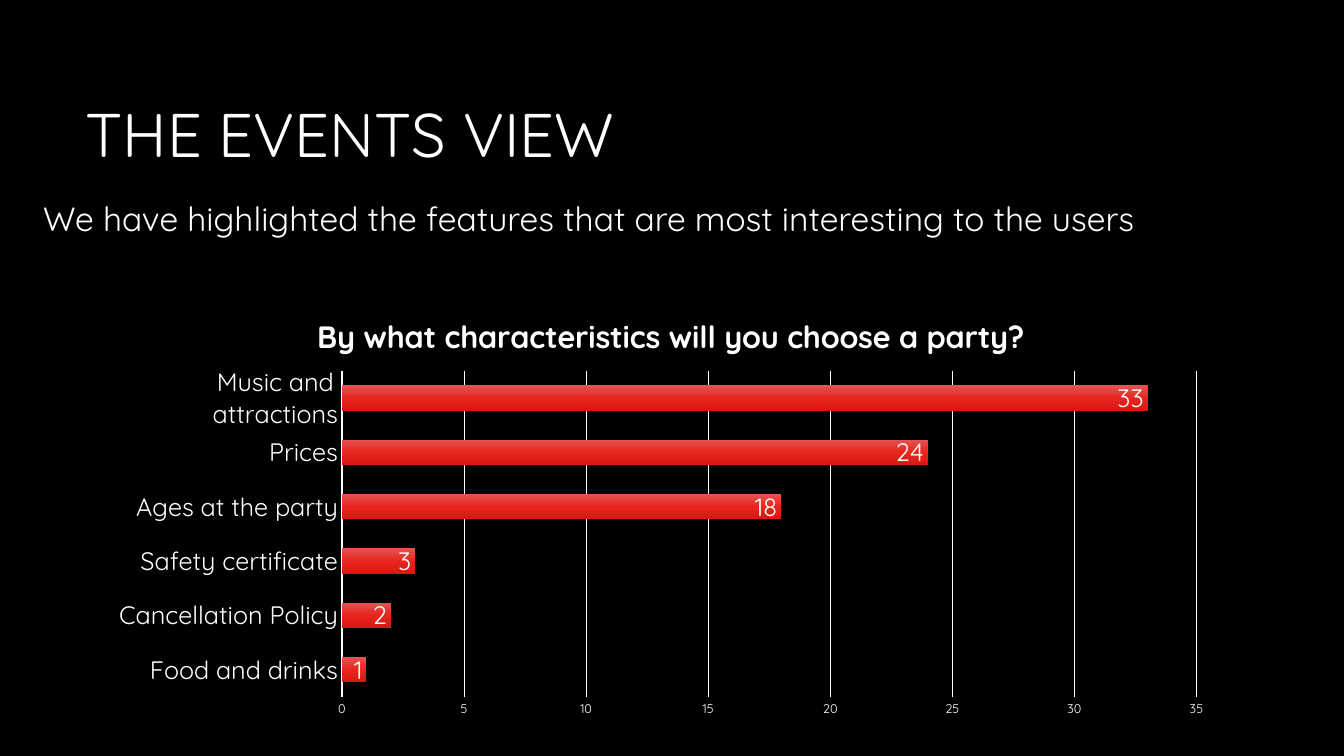
from lxml import etree
from pptx import Presentation
from pptx.chart.data import CategoryChartData
from pptx.dml.color import RGBColor
from pptx.enum.chart import XL_CHART_TYPE, XL_LABEL_POSITION, XL_TICK_MARK
from pptx.enum.text import MSO_ANCHOR
from pptx.oxml import parse_xml
from pptx.oxml.ns import nsdecls, qn
from pptx.util import Inches, Pt

BAR = XL_CHART_TYPE.BAR_CLUSTERED
INSIDE_END = XL_LABEL_POSITION.INSIDE_END
NO_TICK = XL_TICK_MARK.NONE
TOP, BOTTOM = MSO_ANCHOR.TOP, MSO_ANCHOR.BOTTOM

BLACK = RGBColor(0x00, 0x00, 0x00)
WHITE = RGBColor(0xFF, 0xFF, 0xFF)
LIGHT_RED = RGBColor(0xE4, 0x55, 0x53)
RED = RGBColor(0xE8, 0x25, 0x1F)
DARK_RED = RGBColor(0xD8, 0x18, 0x11)
BAR_STOPS = [(0, LIGHT_RED), (50, RED), (100, DARK_RED)]

ANSWERS = {
    "Food and drinks": 1,
    "Cancellation Policy": 2,
    "Safety certificate": 3,
    "Ages at the party": 18,
    "Prices": 24,
    "Music and attractions": 33,
}


class SlideBuilder:
    font_name = "Quicksand"
    color = WHITE

    def __init__(self, prs):
        self.s = prs.slides.add_slide(prs.slide_layouts[6])
        fill = self.s.background.fill
        fill.solid()
        fill.fore_color.rgb = BLACK

    def style(self, font, size, bold=False):
        font.name = self.font_name
        font.size = Pt(size)
        font.bold = bold
        font.color.rgb = self.color

    def line(self, line, width):
        line.color.rgb = self.color
        line.width = Pt(width)

    def text(self, text, box, size, anchor=TOP, spacing=1.0):
        sp = self.s.shapes.add_textbox(*map(Inches, box))
        tf = sp.text_frame
        tf.word_wrap = True
        tf.vertical_anchor = anchor
        p = tf.paragraphs[0]
        p.text = text
        p.line_spacing = spacing
        self.style(p.font, size)

    def gradient(self, fill, stops):
        fill.gradient()
        fill.gradient_angle = 270
        gs_list = fill._xPr.find(qn("a:gradFill")).find(qn("a:gsLst"))
        for gs in list(gs_list):
            gs_list.remove(gs)
        for percent, color in stops:
            gs = etree.SubElement(gs_list, qn("a:gs"), pos=str(percent * 1000))
            etree.SubElement(gs, qn("a:srgbClr"), val=str(color))

    def layout(self, element, after, settings):
        for old in element.findall(qn("c:layout")):
            element.remove(old)
        items = "".join(f'<c:{k} val="{v}"/>' for k, v in settings.items())
        layout = parse_xml(
            f'<c:layout {nsdecls("c")}><c:manualLayout>{items}</c:manualLayout></c:layout>'
        )
        if after is None:
            element.insert(0, layout)
        else:
            after.addnext(layout)

    def bar_chart(self, title, answers, box):
        data = CategoryChartData()
        data.categories = list(answers)
        data.add_series("Series 1", list(answers.values()))
        chart = self.s.shapes.add_chart(BAR, *map(Inches, box), data).chart
        self.style(chart.font, 10)
        chart.has_legend = False

        chart.has_title = True
        tf = chart.chart_title.text_frame
        tf.text = title
        self.style(tf.paragraphs[0].font, 22, bold=True)
        chart.chart_title.include_in_layout = False
        title_xml = chart.chart_title._element
        self.layout(title_xml, title_xml.find(qn("c:tx")),
                    {"xMode": "edge", "yMode": "edge", "x": 0.19, "y": 0.05})

        for axis, size in ((chart.category_axis, 18), (chart.value_axis, 9)):
            axis.major_tick_mark = NO_TICK
            axis.minor_tick_mark = NO_TICK
            self.style(axis.tick_labels.font, size)
        self.line(chart.category_axis.format.line, 1)
        values = chart.value_axis
        values.minimum_scale, values.maximum_scale, values.major_unit = 0, 35, 5
        values.format.line.fill.background()
        values.has_major_gridlines = True
        self.line(values.major_gridlines.format.line, 0.75)

        plot = chart.plots[0]
        plot.vary_by_categories = False
        plot.gap_width = 115
        plot.overlap = -20
        self.gradient(plot.series[0].format.fill, BAR_STOPS)
        plot.has_data_labels = True
        labels = plot.data_labels
        labels.show_value = True
        labels.position = INSIDE_END
        self.style(labels.font, 18)

        plot_area = chart._chartSpace.chart.plotArea
        self.layout(plot_area, None,
                    {"layoutTarget": "inner", "xMode": "edge", "yMode": "edge",
                     "x": 0.217, "y": 0.19, "w": 0.756, "h": 0.742})


def main():
    prs = Presentation()
    prs.slide_width = Inches(13.33)
    prs.slide_height = Inches(7.5)
    slide = SlideBuilder(prs)
    slide.text("THE EVENTS VIEW", (0.75, 0.74, 11.83, 1), 44, BOTTOM, 0.9)
    slide.text("We have highlighted the features that are most interesting to the users",
               (0.33, 1.91, 11.65, 0.5), 24)
    slide.bar_chart("By what characteristics will you choose a party?", ANSWERS,
                    (0.96, 2.85, 11.21, 4.36))
    prs.save("out.pptx")


if __name__ == "__main__":
    main()
